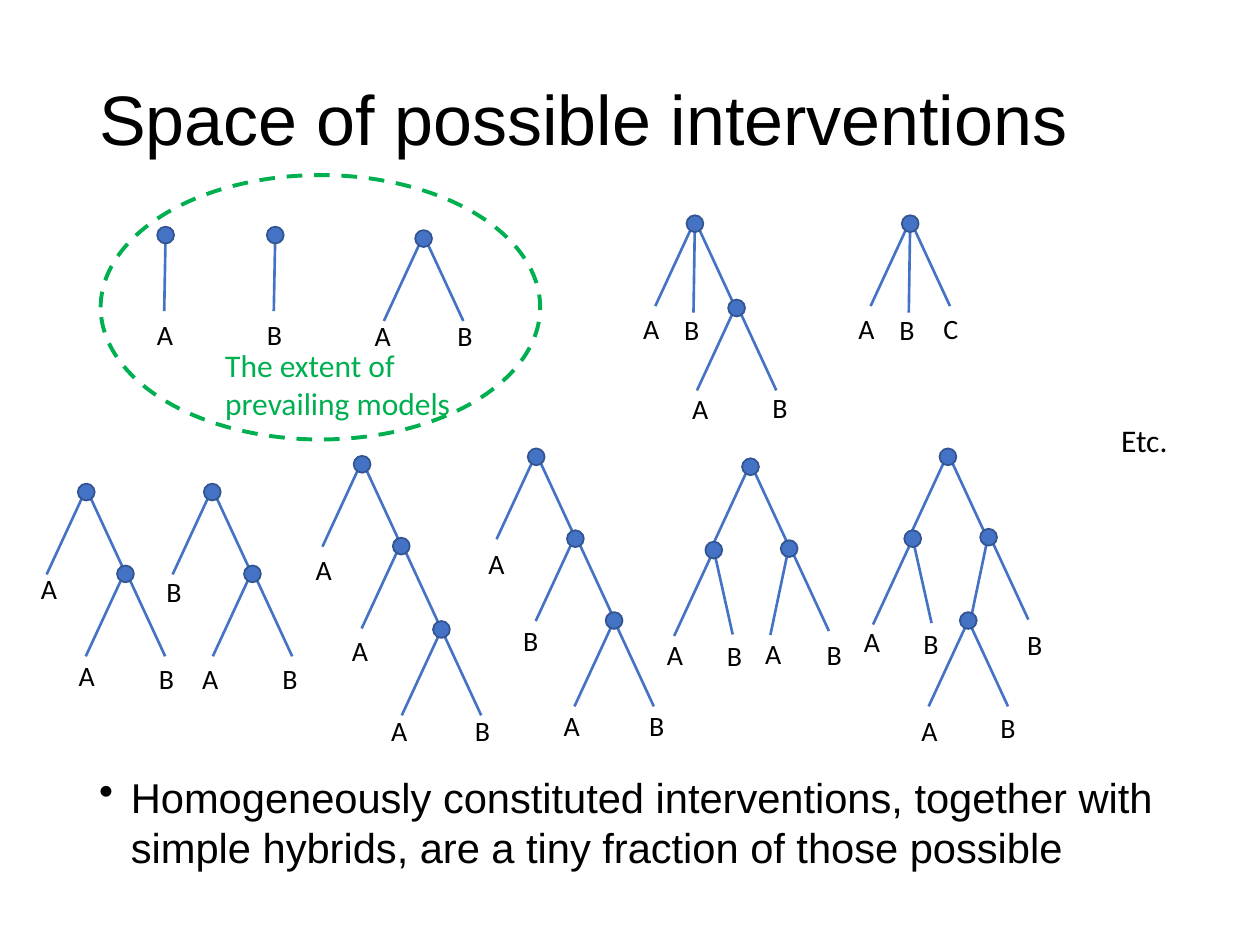
from lxml import etree
from pptx import Presentation
from pptx.dml.color import RGBColor
from pptx.enum.dml import MSO_LINE
from pptx.enum.shapes import MSO_CONNECTOR, MSO_SHAPE
from pptx.enum.text import MSO_ANCHOR, PP_ALIGN
from pptx.oxml.ns import qn
from pptx.util import Cm, Pt

LINE, OVAL = MSO_CONNECTOR.STRAIGHT, MSO_SHAPE.OVAL
DASH, MIDDLE = MSO_LINE.DASH, MSO_ANCHOR.MIDDLE
LEFT, RIGHT = PP_ALIGN.LEFT, PP_ALIGN.RIGHT

COLORS = {"text": "000000", "node": "4472C4", "edge": "325491", "green": "00B050"}

TITLE = "Space of possible interventions"
POINT = ("Homogeneously constituted interventions, together with "
         "simple hybrids, are a tiny fraction of those possible")
EXTENT = "The extent of\nprevailing models"

# Limbs: horizontal reach, and start and end below the node centre (cm)
LIMBS = {
    "left": (-0.8, -0.07, 1.66),
    "right": (0.8, -0.07, 1.66),
    "stem": (-0.03, -0.09, 1.53),
    "mid": (-0.03, -0.17, 1.79),
    "low left": (-0.8, 0, 1.73),
    "low right": (0.8, 0, 1.73),
    "in left": (-0.38, -0.07, 1.74),
    "in right": (0.38, 0, 1.7),
}
FORK = ("left", "right")
LOW = ("low left", "low right")
TRIPLE = ("left", "right", "mid")
OUTER = ("low left", "in right")
INNER = ("in left", "right")

# Each tree: nodes (centre x, y, limbs), then labels (text, left, top), in cm
UPPER = [
    ([(3.34, 4.74, ["stem"])], [("A", 2.9, 6.27)]),
    ([(5.55, 4.74, ["stem"])], [("B", 5.13, 6.27)]),
    ([(8.54, 4.81, FORK)], [("A", 7.29, 6.3), ("B", 8.97, 6.3)]),
    ([(14.01, 4.51, TRIPLE), (14.85, 6.21, FORK)],
     [("A", 12.7, 6.15), ("B", 13.54, 6.17), ("A", 13.69, 7.77), ("B", 15.32, 7.75)]),
    ([(18.35, 4.51, TRIPLE)],
     [("A", 17.04, 6.15), ("B", 17.88, 6.17), ("C", 18.77, 6.15)]),
]
LOWER = [
    ([(1.74, 9.92, FORK), (2.53, 11.57, FORK)],
     [("A", 0.56, 11.4), ("A", 1.32, 13.16), ("B", 2.95, 13.21)]),
    ([(4.28, 9.92, FORK), (5.09, 11.57, FORK)],
     [("B", 3.1, 11.46), ("A", 3.81, 13.21), ("B", 5.44, 13.21)]),
    ([(7.3, 9.36, FORK), (8.09, 11.01, FORK), (8.9, 12.69, LOW)],
     [("A", 6.1, 11.02), ("A", 6.83, 12.65), ("A", 7.62, 14.25), ("B", 9.32, 14.25)]),
    ([(10.81, 9.21, FORK), (11.6, 10.86, FORK), (12.38, 12.51, LOW)],
     [("A", 9.58, 10.9), ("B", 10.29, 12.45), ("A", 11.1, 14.15), ("B", 12.83, 14.15)]),
    ([(15.13, 9.41, FORK), (14.39, 11.09, OUTER), (15.91, 11.06, INNER)],
     [("A", 13.18, 12.73), ("B", 14.4, 12.75), ("A", 15.16, 12.7), ("B", 16.41, 12.73)]),
    ([(19.11, 9.21, FORK), (18.4, 10.86, OUTER), (19.93, 10.83, INNER),
      (19.52, 12.51, LOW)],
     [("A", 17.15, 12.47), ("B", 18.36, 12.5), ("B", 20.45, 12.52),
      ("A", 18.31, 14.25), ("B", 19.91, 14.2)]),
]
NODE = 0.34


def paint(name):
    return RGBColor.from_string(COLORS[name])


def write(text, box, size, font="Calibri", color="text", align=LEFT):
    """Add a wrapped text box and return its frame."""
    frame = slide.shapes.add_textbox(*map(Cm, box)).text_frame
    frame.word_wrap = True
    par = frame.paragraphs[0]
    par.text = text
    par.alignment = align
    par.font.size, par.font.name = Pt(size), font
    par.font.color.rgb = paint(color)
    return frame


def limb(x, y, kind):
    reach, top, end = LIMBS[kind]
    link = slide.shapes.add_connector(
        LINE, Cm(x), Cm(y + top), Cm(x + reach), Cm(y + end))
    link.line.color.rgb = paint("node")
    link.line.width = Pt(1.5)
    etree.SubElement(link._element.spPr, qn("a:effectLst"))


def oval(box, edge, width):
    shape = slide.shapes.add_shape(OVAL, *map(Cm, box))
    shape.shadow.inherit = False
    shape.line.color.rgb = paint(edge)
    shape.line.width = Pt(width)
    return shape


def tree(nodes, labels, side):
    """Draw limbs, then nodes over them; side aligns labels other than A."""
    for x, y, kinds in nodes:
        for kind in kinds:
            limb(x, y, kind)
    for x, y, _ in nodes:
        dot = oval((x - NODE / 2, y - NODE / 2, NODE, NODE), "edge", 1)
        dot.fill.solid()
        dot.fill.fore_color.rgb = paint("node")
    for text, x, y in labels:
        first = text == "A"
        write(text, (x, y, 0.84 if first else 0.81, 0.94), 16,
              align=RIGHT if first else side)


deck = Presentation()
deck.slide_width, deck.slide_height = Cm(25.4), Cm(19.05)
slide = deck.slides.add_slide(deck.slide_layouts[6])

head = write(TITLE, (1.75, 1.02, 21.9, 2.92), 40, "Arial")
head.vertical_anchor = MIDDLE
head.paragraphs[0].line_spacing = 0.9

for row, side in ((UPPER, LEFT), (LOWER, RIGHT)):
    for nodes, labels in row:
        tree(nodes, labels, side)

ring = oval((2.03, 3.53, 8.86, 5.33), "green", 2.25)
ring.fill.background()
ring.line.dash_style = DASH
write(EXTENT, (4.29, 6.86, 5.11, 1.8), 18, color="green")
write("Etc.", (22.35, 8.36, 1.45, 1.02), 18)

body = write("", (1.75, 15.44, 21.9, 2.92), 23.8, "Arial")
par = body.paragraphs[0]
props = par._p.get_or_add_pPr()
props.set("marL", str(Cm(0.64)))
props.set("indent", str(Cm(-0.64)))
bullet = etree.Element(qn("a:buChar"), char="•")
props.insert(0, bullet)
par.space_after = Pt(4)
par.add_run().text = POINT

deck.save("out.pptx")
